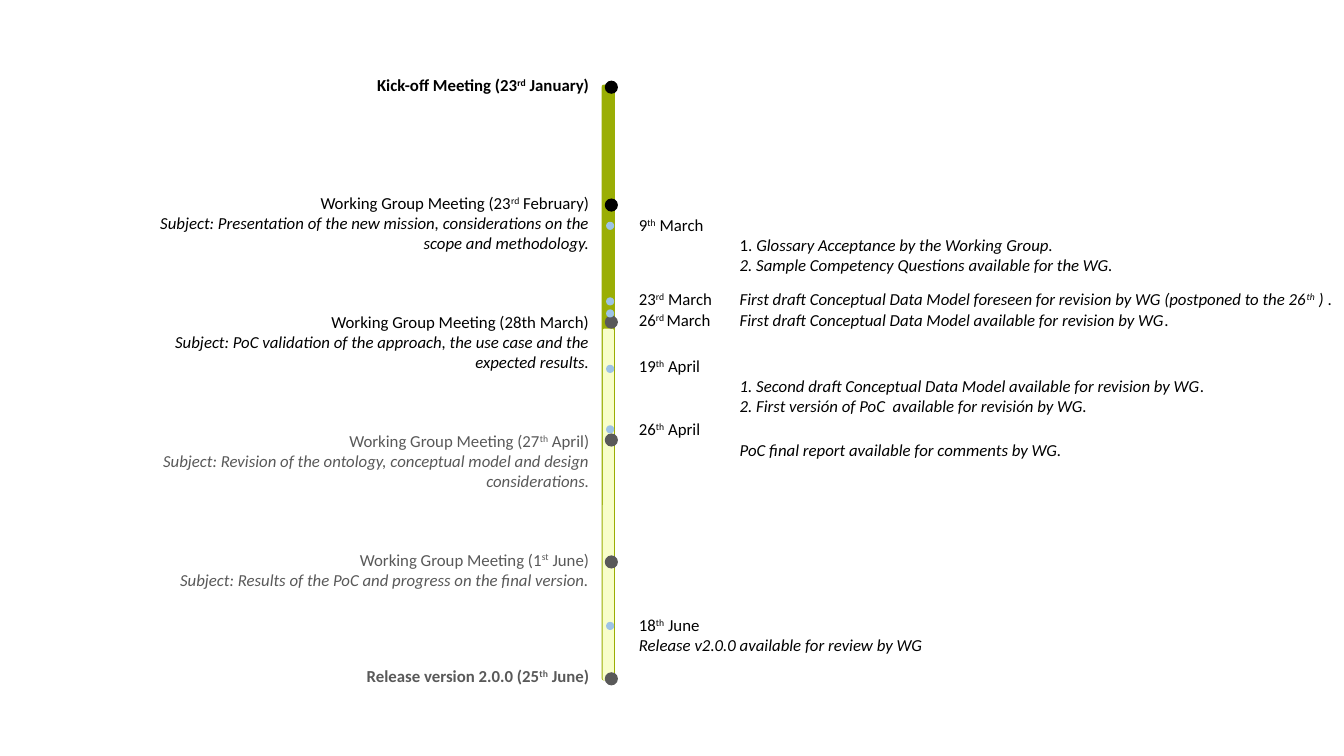
from dataclasses import dataclass

from lxml.etree import SubElement
from pptx import Presentation
from pptx.dml.color import RGBColor
from pptx.enum.shapes import MSO_SHAPE
from pptx.enum.text import MSO_AUTO_SIZE, PP_ALIGN
from pptx.oxml.ns import qn
from pptx.util import Pt

BLACK = RGBColor(0x00, 0x00, 0x00)
GREY = RGBColor(0x59, 0x59, 0x59)
OLIVE = RGBColor(0x9A, 0xAE, 0x04)
PALE = RGBColor(0xF8, 0xFE, 0xCA)
BLUE = RGBColor(0x9D, 0xC3, 0xE6)

MEETING_RIGHT = 427.9
DELIVERY_LEFT = 449.3
AXIS_X = 434.5
MEETING_DOT, MEETING_DOT_LEFT = 9.4, 432
DELIVERY_DOT, DELIVERY_DOT_LEFT = 5.8, 432.9
TAB_STOP = 72


@dataclass
class Meeting:
    top: float
    width: float
    height: float
    dot_top: float
    lines: list[str]
    color: RGBColor = BLACK
    dot_color: RGBColor = GREY
    bold: bool = False
    wrap: bool = True


@dataclass
class Delivery:
    top: float
    width: float
    height: float
    dot_tops: list[float]
    lines: list[str]


@dataclass
class Bar:
    top: float
    width: float
    height: float
    color: RGBColor


# Markup: _italic_ and ^superscript^
MEETINGS = [
    Meeting(49.7, 169.2, 21.6, 57.6, ["Kick-off Meeting (23^rd^ January)"],
            dot_color=BLACK, bold=True, wrap=False),
    Meeting(133.9, 346.3, 51.1, 141.8, [
        "Working Group Meeting (23^rd^ February)",
        "_Subject: Presentation of the new mission, considerations on the scope and methodology._",
    ], dot_color=BLACK),
    Meeting(218.9, 346.3, 51.1, 225.4, [
        "Working Group Meeting (28th March)",
        "_Subject: PoC validation of the approach, the use case and the expected results._",
    ]),
    Meeting(303.8, 346.3, 51.1, 309.6, [
        "Working Group Meeting (27^th^ April)",
        "_Subject: Revision of the ontology, conceptual model and design considerations._",
    ], GREY),
    Meeting(388.8, 312.5, 36, 396.7, [
        "Working Group Meeting (1^st^ June)",
        "_Subject: Results of the PoC and progress on the final version._",
    ], GREY, wrap=False),
    Meeting(472.3, 176.4, 21.6, 480.2, ["Release version 2.0.0 (25^th^ June)"],
            GREY, bold=True, wrap=False),
]

DELIVERIES = [
    Delivery(149.8, 392.4, 51.1, [158.4], [
        "9^th^ March",
        "\t1. _Glossary Acceptance by the Working Group._",
        "_\t2. Sample Competency Questions available for the WG._",
    ]),
    Delivery(203, 511.2, 36, [212.4, 221], [
        "23^rd^ March\t_First draft Conceptual Data Model foreseen for revision by WG "
        "(postponed to the 26^th^ ) _.",
        "26^rd ^March \t_First draft Conceptual Data Model available for revision by WG_.",
    ]),
    Delivery(250.6, 443.5, 51.1, [260.6], [
        "19^th^ April",
        "\t_1. Second draft Conceptual Data Model available for revision by WG_.",
        "\t_2. First versión of PoC  available for revisión by WG._",
    ]),
    Delivery(295.9, 346.3, 36, [303.8], [
        "26^th^ April",
        "\t_PoC final report available for comments by WG._",
    ]),
    Delivery(435.6, 346.3, 36, [444.2], [
        "18^th^ June",
        "_Release v2.0.0 available for review by WG_",
    ]),
]

BARS = [Bar(60.5, 9.4, 425.5, OLIVE), Bar(234.7, 7.9, 251.3, PALE)]


def add_runs(p, line: str, color: RGBColor, bold: bool) -> None:
    for i, part in enumerate(line.split("_")):
        for j, piece in enumerate(part.split("^")):
            if not piece:
                continue
            r = p.add_run()
            r.text = piece
            r.font.name = "Calibri"
            r.font.size = Pt(12)
            r.font.color.rgb = color
            r.font.bold = bold
            r.font.italic = i % 2 == 1
            if j % 2:
                r.font._element.set("baseline", "30000")


def add_text(s, left: float, top: float, width: float, height: float, lines: list[str],
             align: PP_ALIGN, color: RGBColor = BLACK, bold: bool = False,
             wrap: bool = True) -> None:
    tf = s.shapes.add_textbox(Pt(left), Pt(top), Pt(width), Pt(height)).text_frame
    tf.word_wrap = wrap
    tf.auto_size = MSO_AUTO_SIZE.SHAPE_TO_FIT_TEXT
    for i, line in enumerate(lines):
        p = tf.add_paragraph() if i else tf.paragraphs[0]
        p.alignment = align
        if "\t" in line:
            tabs = SubElement(p._p.get_or_add_pPr(), qn("a:tabLst"))
            SubElement(tabs, qn("a:tab"), pos=str(Pt(TAB_STOP)), algn="l")
        add_runs(p, line, color, bold)


def add_solid(s, kind: MSO_SHAPE, left: float, top: float, width: float, height: float,
              color: RGBColor) -> None:
    sp = s.shapes.add_shape(kind, Pt(left), Pt(top), Pt(width), Pt(height))
    sp.shadow.inherit = False
    sp.fill.solid()
    sp.fill.fore_color.rgb = color
    sp.line.fill.background()


def main() -> None:
    prs = Presentation()
    prs.slide_width, prs.slide_height = Pt(960), Pt(540)
    s = prs.slides.add_slide(prs.slide_layouts[6])
    for b in BARS:
        add_solid(s, MSO_SHAPE.ROUNDED_RECTANGLE, AXIS_X - b.width / 2, b.top,
                  b.width, b.height, b.color)
    for m in MEETINGS:
        add_text(s, MEETING_RIGHT - m.width, m.top, m.width, m.height, m.lines,
                 PP_ALIGN.RIGHT, m.color, m.bold, m.wrap)
        add_solid(s, MSO_SHAPE.OVAL, MEETING_DOT_LEFT, m.dot_top,
                  MEETING_DOT, MEETING_DOT, m.dot_color)
    for d in DELIVERIES:
        add_text(s, DELIVERY_LEFT, d.top, d.width, d.height, d.lines, PP_ALIGN.LEFT)
        for dot_top in d.dot_tops:
            add_solid(s, MSO_SHAPE.OVAL, DELIVERY_DOT_LEFT, dot_top,
                      DELIVERY_DOT, DELIVERY_DOT, BLUE)
    prs.save("out.pptx")


if __name__ == "__main__":
    main()
